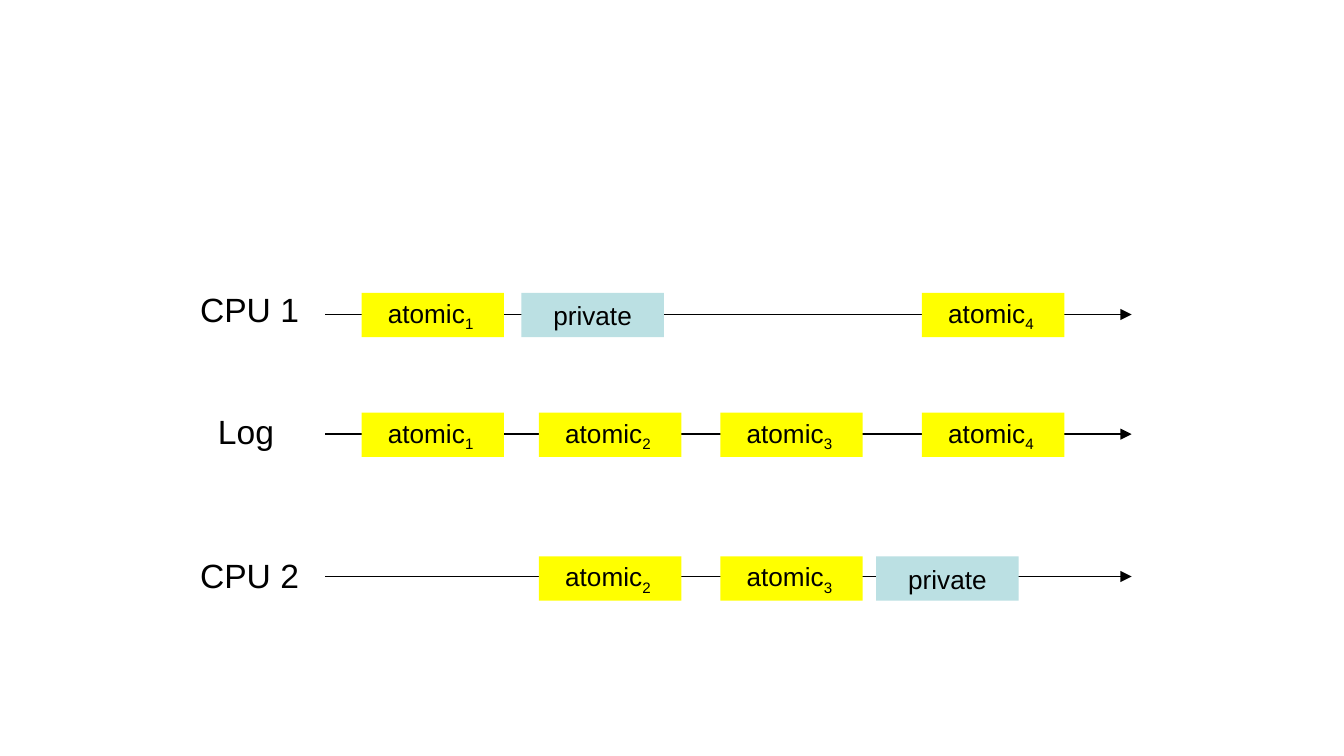
from dataclasses import dataclass

from lxml import etree
from pptx import Presentation
from pptx import util as u
from pptx.dml.color import RGBColor
from pptx.enum import shapes, text
from pptx.oxml import ns

BLACK = RGBColor(0x00, 0x00, 0x00)
YELLOW = RGBColor(0xFF, 0xFF, 0x00)
PALE_BLUE = RGBColor(0xBB, 0xE0, 0xE3)

FONT = "Arial"
SLIDE_W = u.Inches(10)
SLIDE_H = u.Emu(SLIDE_W * 9 // 16)  # widescreen
AXIS_START, AXIS_END = 2.42, 8.42
BLOCK_W, BLOCK_H = 1.06, 0.33
LABEL_H = 0.4
# Left edge of each numbered atomic block, shared by all timelines
ATOMIC_X = {1: 2.69, 2: 4.01, 3: 5.36, 4: 6.86}


@dataclass(frozen=True)
class Timeline:
    label: str
    label_x: float
    label_y: float
    label_w: float
    axis_y: float
    block_y: float
    atomics: tuple[int, ...]
    private_x: float | None = None
    label_align: text.PP_ALIGN = text.PP_ALIGN.LEFT


TIMELINES = [
    Timeline("CPU 1", 1.39, 2.1, 0.95, 2.34, 2.18, (1, 4), 3.88),
    Timeline("Log", 1.52, 3.01, 0.62, 3.23, 3.07, (1, 2, 3, 4),
             label_align=text.PP_ALIGN.CENTER),
    Timeline("CPU 2", 1.39, 4.08, 0.95, 4.29, 4.14, (2, 3), 6.52),
]


def style_run(r, size: int) -> None:
    r.font.name = FONT
    r.font.size = u.Pt(size)
    r.font.color.rgb = BLACK


def add_axis(s, y: float) -> None:
    line = s.shapes.add_connector(
        shapes.MSO_CONNECTOR.STRAIGHT,
        u.Inches(AXIS_START), u.Inches(y), u.Inches(AXIS_END), u.Inches(y))
    line.line.color.rgb = BLACK
    line.line.width = u.Pt(0.75)
    # Arrowhead, and no shadow
    sp_pr = line._element.spPr
    etree.SubElement(sp_pr.find(ns.qn("a:ln")), ns.qn("a:tailEnd"), type="triangle")
    etree.SubElement(sp_pr, ns.qn("a:effectLst"))


def add_label(s, t: Timeline) -> None:
    sp = s.shapes.add_textbox(u.Inches(t.label_x), u.Inches(t.label_y),
                              u.Inches(t.label_w), u.Inches(LABEL_H))
    tf = sp.text_frame
    tf.text = t.label
    tf.word_wrap = False
    tf.auto_size = text.MSO_AUTO_SIZE.SHAPE_TO_FIT_TEXT
    p = tf.paragraphs[0]
    p.alignment = t.label_align
    style_run(p.runs[0], 18)


def add_block(s, x: float, y: float, name: str, fill: RGBColor,
              subscript: str = "") -> None:
    sp = s.shapes.add_shape(shapes.MSO_SHAPE.RECTANGLE, u.Inches(x), u.Inches(y),
                            u.Inches(BLOCK_W), u.Inches(BLOCK_H))
    sp.shadow.inherit = False
    sp.fill.solid()
    sp.fill.fore_color.rgb = fill
    sp.line.fill.background()
    tf = sp.text_frame
    tf.text = name
    tf.vertical_anchor = text.MSO_ANCHOR.MIDDLE
    p = tf.paragraphs[0]
    p.alignment = text.PP_ALIGN.CENTER
    if subscript:
        r = p.add_run()
        r.text = subscript
        r.font._element.set("baseline", "-25000")
    for r in p.runs:
        style_run(r, 14)


def main() -> None:
    prs = Presentation()
    prs.slide_width, prs.slide_height = SLIDE_W, SLIDE_H
    s = prs.slides.add_slide(prs.slide_layouts[6])

    for t in TIMELINES:
        add_axis(s, t.axis_y)
        add_label(s, t)
        for number in t.atomics:
            add_block(s, ATOMIC_X[number], t.block_y, "atomic", YELLOW, f"{number} ")
        if t.private_x is not None:
            add_block(s, t.private_x, t.block_y, "private", PALE_BLUE)

    prs.save("out.pptx")


if __name__ == "__main__":
    main()
